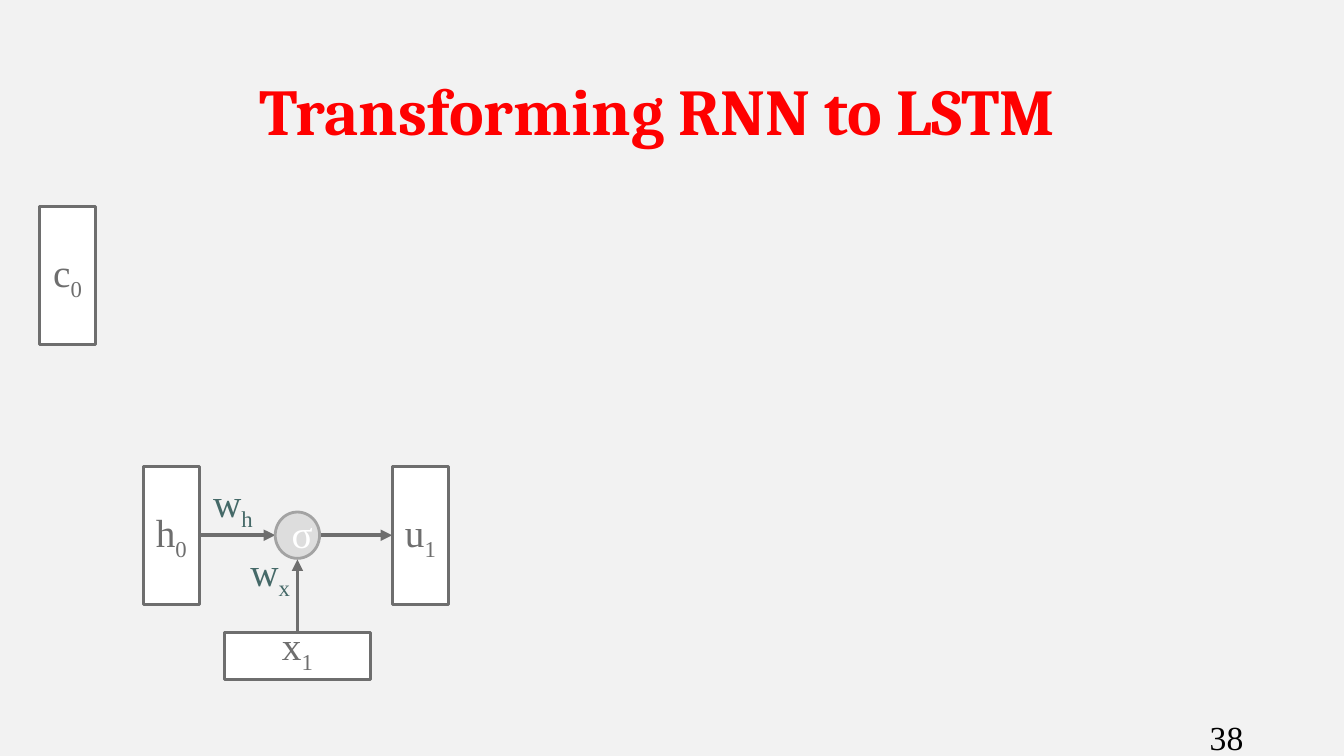
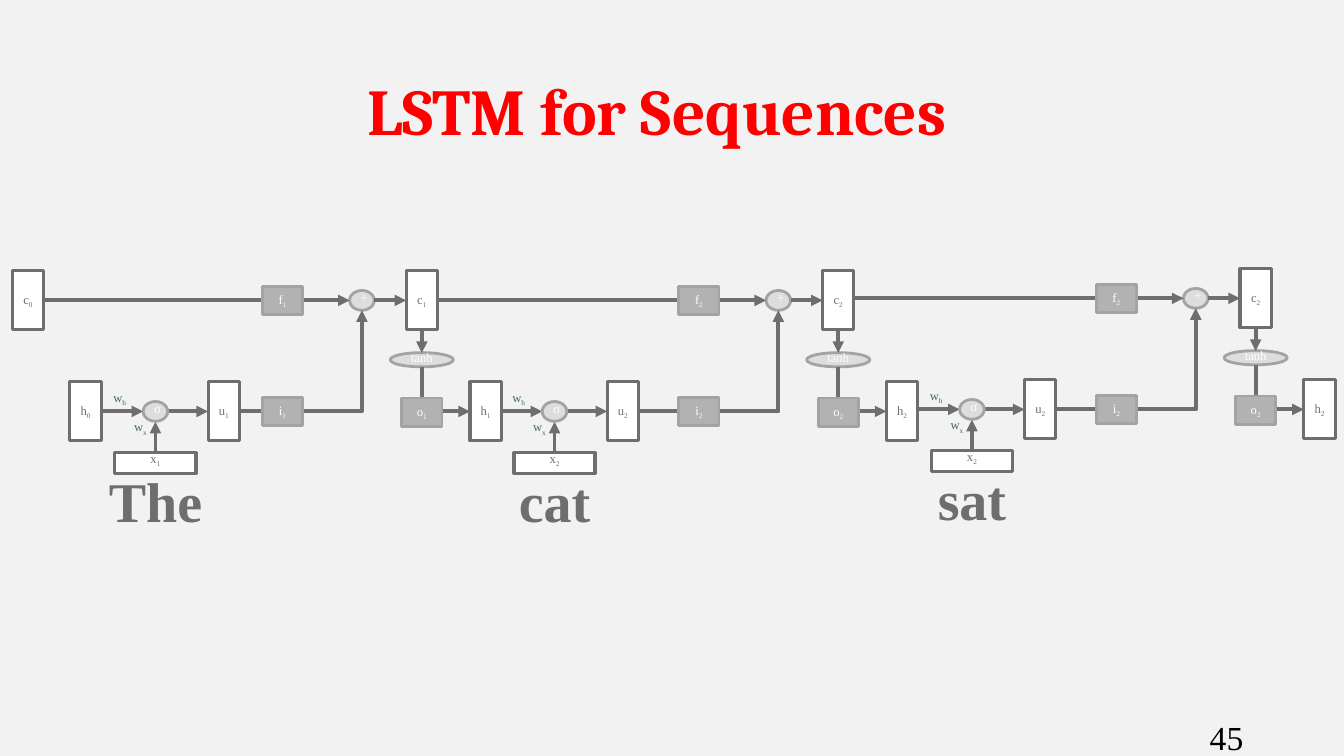
"""Build two slides that grow a recurrent unit into an LSTM sequence."""
from dataclasses import dataclass
from typing import Any

from lxml.etree import SubElement
from pptx import Presentation
from pptx.dml.color import RGBColor
from pptx.enum.shapes import MSO_CONNECTOR as Link, MSO_SHAPE as Preset
from pptx.enum.text import MSO_ANCHOR as Anchor, MSO_AUTO_SIZE as AutoSize, PP_ALIGN as Align
from pptx.oxml.ns import qn
from pptx.util import Inches, Pt

COLORS = {
    "background": "F2F2F2",
    "title": "FF0000",
    "number": "000000",
    "ink": "6E6E6E",
    "weight": "456968",
    "state": "FFFFFF",
    "op": "DDDDDD",
    "gate": "B2B2B2",
    "edge": "A3A3A3",
    "light": "FFFFFF",
}
TITLE_FONT = "Cambria"
BODY_FONT = "Times New Roman"


@dataclass(frozen=True)
class Kind:
    preset: Any
    w: float
    h: float
    fill: str
    line: str
    line_pt: float
    font: str
    anchor: Any = Anchor.MIDDLE
    bottom: float = 0.05


STATE = Kind(Preset.RECTANGLE, 0.56, 1.37, "state", "ink", 2.25, "ink")
INPUT = Kind(Preset.RECTANGLE, 1.45, 0.47, "state", "ink", 2.25, "ink", Anchor.BOTTOM)
GATE = Kind(Preset.RECTANGLE, 0.72, 0.66, "gate", "edge", 2, "light")
OP = Kind(Preset.OVAL, 0.44, 0.46, "op", "edge", 2, "light", bottom=0.1)
TANH = Kind(Preset.OVAL, 1.13, 0.33, "op", "edge", 2, "light", bottom=0.1)


@dataclass(frozen=True)
class Frame:
    """Map diagram units around an origin to inches on the slide."""
    shapes: Any
    x: float
    y: float
    sx: float = 1
    sy: float = 1
    pt: float = 28

    def at(self, x: float, y: float) -> tuple[float, float]:
        return self.x + x * self.sx, self.y + y * self.sy

    def box(self, x: float, y: float, w: float, h: float) -> list[int]:
        cx, cy = self.at(x, y)
        w, h = w * self.sx, h * self.sy
        return [Inches(v) for v in (cx - w / 2, cy - h / 2, w, h)]

    def moved(self, x: float, y: float) -> "Frame":
        return Frame(self.shapes, *self.at(x, y), self.sx, self.sy, self.pt)


@dataclass(frozen=True)
class Cell:
    word: str
    sub: str
    x: float
    y: float
    unit_dx: float
    prior_dx: float
    first: bool = False


CELLS = [
    Cell("The", "1", 3.59, 2.98, -3.69, -5.97, True),
    Cell("cat", "2", 7.72, 2.98, -4, -6.37),
    Cell("sat", "2", 11.86, 2.96, -4, -6.37),
]
LOWER_ROW = 2.58


def rgb(name: str) -> RGBColor:
    return RGBColor.from_string(COLORS[name])


def write(tf: Any, label: str, size: float, color: str, font: str = BODY_FONT,
          bold: bool = False, align: Any = Align.CENTER) -> None:
    """Write a label whose part after an underscore is a subscript."""
    tf.word_wrap = True
    p = tf.paragraphs[0]
    p.alignment = align
    name, _, sub = label.partition("_")
    for text, base in ((name, None), (sub, "-25000")):
        if text:
            r = p.add_run()
            r.text = text
            r.font.size = Pt(size)
            r.font.name = font
            r.font.bold = bold
            r.font.color.rgb = rgb(color)
            if base:
                r.font._element.set("baseline", base)


def node(frame: Frame, kind: Kind, label: str, x: float, y: float) -> None:
    sp = frame.shapes.add_shape(kind.preset, *frame.box(x, y, kind.w, kind.h))
    sp.shadow.inherit = False
    sp.fill.solid()
    sp.fill.fore_color.rgb = rgb(kind.fill)
    sp.line.color.rgb = rgb(kind.line)
    sp.line.width = Pt(kind.line_pt)
    tf = sp.text_frame
    tf.vertical_anchor = kind.anchor
    tf.margin_bottom = Inches(kind.bottom)
    write(tf, label, frame.pt, kind.font)


def caption(frame: Frame, label: str, x: float, y: float, w: float, h: float,
            color: str, size: float, bold: bool = False) -> None:
    tf = frame.shapes.add_textbox(*frame.box(x, y, w, h)).text_frame
    write(tf, label, size, color, bold=bold)
    tf.auto_size = AutoSize.SHAPE_TO_FIT_TEXT


def connect(frame: Frame, link: Any, *ends: float) -> Any:
    """Add an arrow between two points given in inches."""
    cxn = frame.shapes.add_connector(link, *[Inches(v) for v in ends])
    cxn.line.color.rgb = rgb("ink")
    cxn.line.width = Pt(2.75)
    sp_pr = cxn._element.spPr
    SubElement(sp_pr.find(qn("a:ln")), qn("a:tailEnd"), type="triangle")
    SubElement(sp_pr, qn("a:effectLst"))
    if link == Link.ELBOW:
        sp_pr.find(qn("a:prstGeom")).set("prst", "bentConnector2")
    return cxn


def arrow(frame: Frame, x1: float, y1: float, x2: float, y2: float) -> None:
    connect(frame, Link.STRAIGHT, *frame.at(x1, y1), *frame.at(x2, y2))


def across_then_up(frame: Frame, x1: float, y1: float, x2: float, y2: float) -> None:
    connect(frame, Link.ELBOW, *frame.at(x1, y1), *frame.at(x2, y2))


def down_then_across(frame: Frame, x1: float, y1: float, x2: float, y2: float) -> None:
    """Turn a mirrored elbow by 270 degrees about the middle of its span."""
    (left, top), (right, bottom) = frame.at(x1, y1), frame.at(x2, y2)
    cx, cy = (left + right) / 2, (top + bottom) / 2
    dx, dy = (right - left) / 2, (bottom - top) / 2
    cxn = connect(frame, Link.ELBOW, cx + dy, cy - dx, cx - dy, cy + dx)
    cxn._element.spPr.find(qn("a:xfrm")).set("rot", str(270 * 60000))


def draw_unit(frame: Frame, sub: str, first: bool) -> None:
    """Draw the recurrent unit around its activation."""
    for label, x, y in (("w_x", -0.27, 0.51), ("w_h", -0.64, -0.17)):
        caption(frame, label, x, y, 0.73, 0.88, "weight", frame.pt)
    node(frame, INPUT, f"x_{sub}", 0, 1.2)
    if first:
        node(frame, STATE, "h_0", -1.25, 0)
    arrow(frame, -0.97, 0, -0.22, 0)
    arrow(frame, 0, 0.96, 0, 0.24)
    node(frame, STATE, f"u_{sub}", 1.22, 0)
    arrow(frame, 0.22, 0, 0.94, 0)
    node(frame, OP, "σ", 0, 0)


def draw_cell(frame: Frame, cell: Cell) -> None:
    """Draw one LSTM cell around its sum."""
    draw_unit(frame.moved(cell.unit_dx, LOWER_ROW), cell.sub, cell.first)
    if cell.first:
        node(frame, STATE, "c_0", cell.prior_dx, 0)
    node(frame, OP, "+", 0, 0)
    node(frame, STATE, f"c_{cell.sub}", 1.07, 0)
    arrow(frame, cell.prior_dx + STATE.w / 2, 0, -0.22, 0)
    node(frame, GATE, f"f_{cell.sub}", -1.42, 0)
    across_then_up(frame, cell.unit_dx + 1.5, LOWER_ROW, 0, 0.23)
    node(frame, GATE, f"i_{cell.sub}", -1.42, LOWER_ROW)
    arrow(frame, 0.22, 0, 0.79, 0)
    node(frame, STATE, f"h_{cell.sub}", 2.21, LOWER_ROW)
    node(frame, TANH, "tanh", 1.07, 1.38)
    arrow(frame, 1.07, 0.68, 1.07, 1.22)
    down_then_across(frame, 1.07, 1.55, 1.93, LOWER_ROW)
    node(frame, GATE, f"o_{cell.sub}", 1.07, 2.6)


def add_slide(prs: Any, title: str, number: int) -> Any:
    s = prs.slides.add_slide(prs.slide_layouts[6])
    s.background.fill.solid()
    s.background.fill.fore_color.rgb = rgb("background")
    tf = s.shapes.add_textbox(Inches(0.37), Inches(0.57), Inches(12.3), Inches(1.02)).text_frame
    tf.vertical_anchor = Anchor.MIDDLE
    write(tf, title, 46.7, "title", TITLE_FONT, bold=True)
    tf = s.shapes.add_textbox(Inches(11.9), Inches(7.06), Inches(1.43), Inches(0.4)).text_frame
    write(tf, str(number), 24, "number", align=Align.LEFT)
    return s


def main() -> None:
    prs = Presentation()
    prs.slide_width, prs.slide_height = Inches(13.33), Inches(7.5)

    s = add_slide(prs, "Transforming RNN to LSTM", 38)
    draw_unit(Frame(s.shapes.add_group_shape().shapes, 2.95, 5.31), "1", True)
    node(Frame(s.shapes, 2.95, 5.31), STATE, "c_0", -2.28, -LOWER_ROW)

    s = add_slide(prs, "LSTM for Sequences", 45)
    for cell in CELLS:
        group = s.shapes.add_group_shape()
        draw_cell(Frame(group.shapes, cell.x, cell.y, 0.555, 0.427, 9), cell)
    for cell in CELLS:
        frame = Frame(s.shapes, cell.x, cell.y, 0.555, 0.427)
        caption(frame, cell.word, cell.unit_dx, 4.65, 2.61, 1.8, "ink", 40, bold=True)

    prs.save("out.pptx")


if __name__ == "__main__":
    main()
